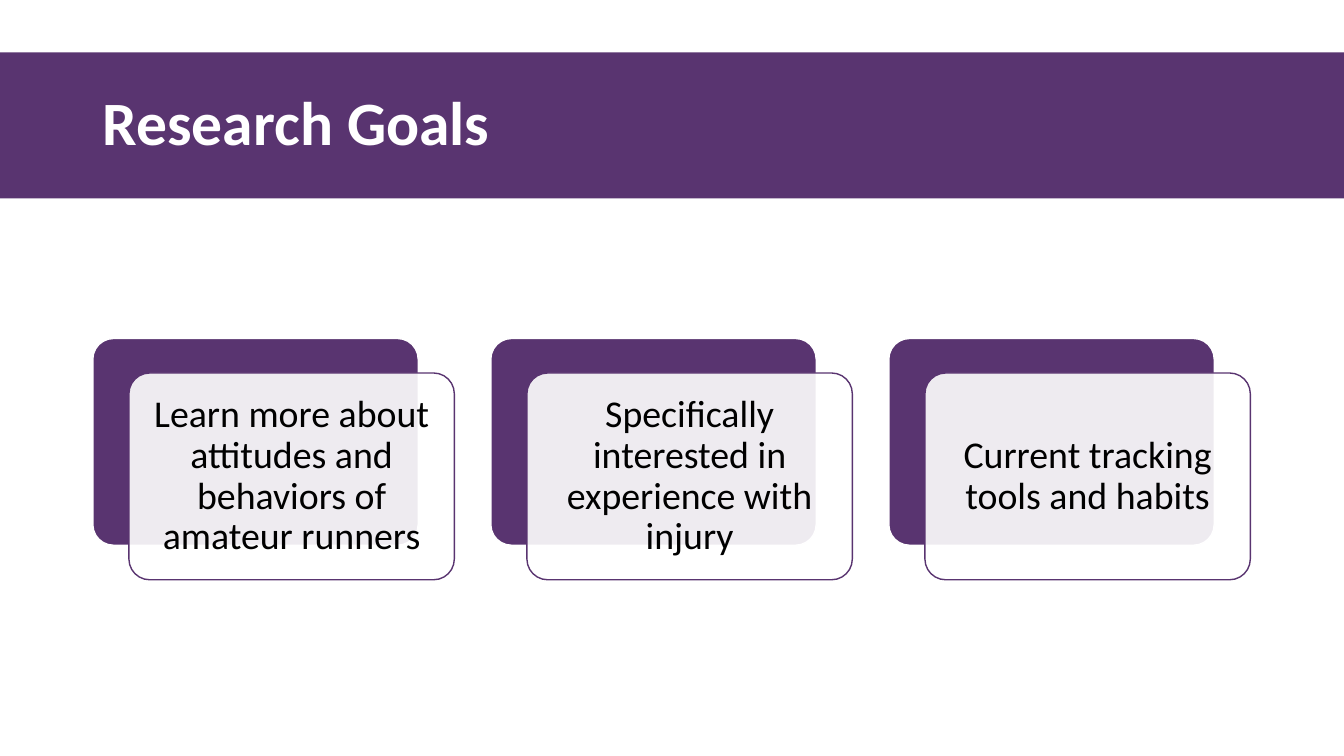
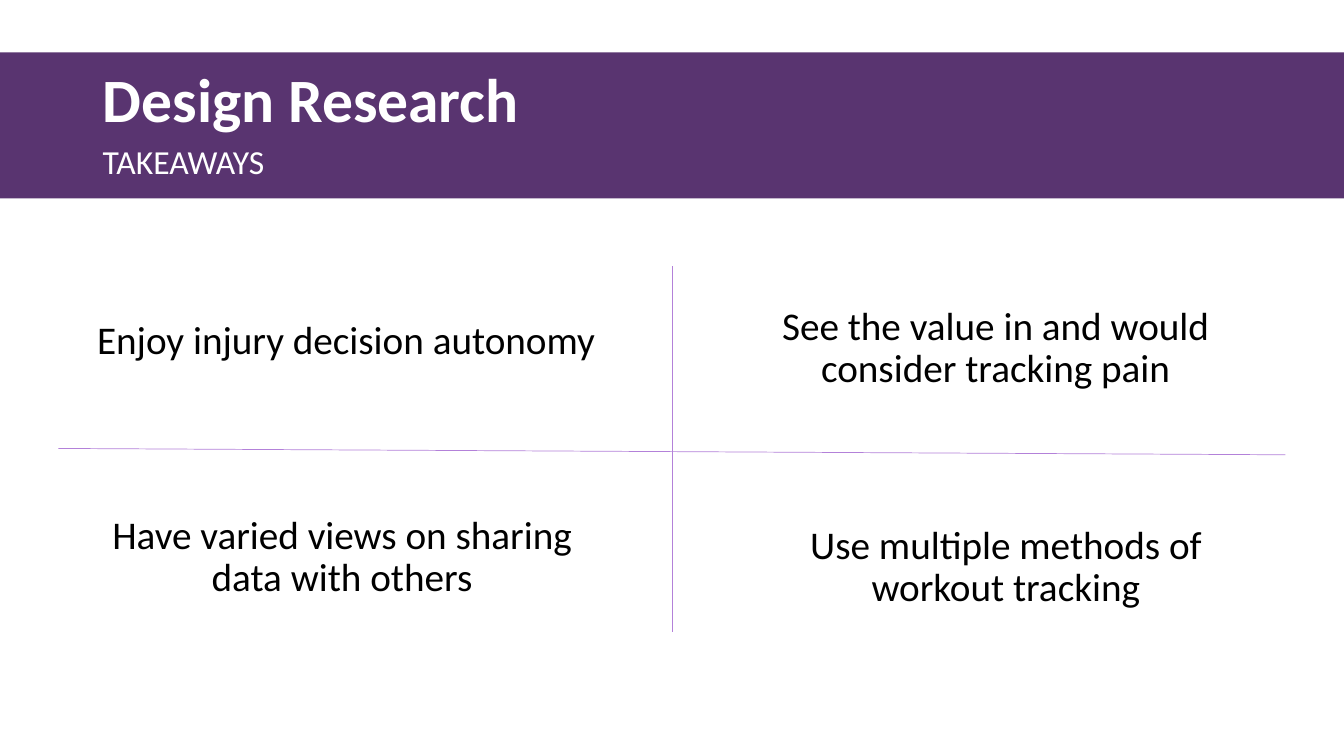
from lxml import etree
from pptx import Presentation
from pptx.dml.color import RGBColor
from pptx.enum.shapes import MSO_CONNECTOR, MSO_SHAPE
from pptx.enum.text import MSO_ANCHOR, PP_ALIGN
from pptx.oxml.ns import qn
from pptx.util import Cm, Pt

RECTANGLE, ROUNDED = MSO_SHAPE.RECTANGLE, MSO_SHAPE.ROUNDED_RECTANGLE
STRAIGHT = MSO_CONNECTOR.STRAIGHT
LEFT, CENTER = PP_ALIGN.LEFT, PP_ALIGN.CENTER
MIDDLE = MSO_ANCHOR.MIDDLE

FONT = "Calibri"
COLORS = {"purple": "593470", "lilac": "B381D9", "white": "FFFFFF", "black": "000000"}

# All positions and sizes are in centimetres.
SLIDE_WIDTH, SLIDE_HEIGHT = 33.87, 19.05
BAND_TOP, BAND_HEIGHT = 1.32, 3.68
TITLE_LEFT, TITLE_WIDTH = 2.34, 29.21
TITLE_RAISE, SUBTITLE_DROP = 0.58, 0.97

GOALS = [
    "Learn more about attitudes and behaviors of amateur runners",
    "Specifically interested in experience with injury",
    "Current tracking tools and habits",
]
CARD_LEFT, CARD_TOP, CARD_PITCH = 2.34, 8.53, 10.03
CARD_WIDTH, CARD_HEIGHT = 8.2, 5.21
CARD_SHIFT_X, CARD_SHIFT_Y = 0.91, 0.87
CARD_INSET = 0.28

# text, (left, top, width, height)
TAKEAWAYS = [
    ("Enjoy injury decision autonomy", (1.85, 5.94, 13.74, 5.33)),
    ("See the value in and would consider tracking pain", (17.7, 6.27, 14.78, 5.03)),
    ("Have varied views on sharing data with others", (1.85, 12.37, 13.54, 3.38)),
    ("Use multiple methods of workout tracking", (19, 12.37, 12.7, 3.89)),
]
# start x, start y, end x, end y
DIVIDERS = [(1.47, 11.3, 32.39, 11.46), (16.94, 6.71, 16.94, 15.93)]


def color(name):
    return RGBColor.from_string(COLORS[name])


def cm(values):
    return [Cm(value) for value in values]


def write(shape, text, size, ink="black", bold=False, align=CENTER, inset=None):
    frame = shape.text_frame
    frame.word_wrap = True
    frame.vertical_anchor = MIDDLE
    if inset is not None:
        frame.margin_left = frame.margin_right = Cm(inset)
        frame.margin_top = frame.margin_bottom = Cm(inset)
    para = frame.paragraphs[0]
    para.alignment = align
    para.line_spacing = 0.9
    span = para.add_run()
    span.text = text
    span.font.name = FONT
    span.font.size = Pt(size)
    span.font.bold = bold
    span.font.color.rgb = color(ink)


def add_text(page, text, place, size, **style):
    write(page.shapes.add_textbox(*cm(place)), text, size, **style)


def add_box(page, kind, place, fill, line=None, opacity=None):
    box = page.shapes.add_shape(kind, *cm(place))
    box.shadow.inherit = False
    box.fill.solid()
    box.fill.fore_color.rgb = color(fill)
    if opacity is not None:
        fill_color = box.fill._xPr.find(".//" + qn("a:srgbClr"))
        etree.SubElement(fill_color, qn("a:alpha"), val=str(opacity * 1000))
    if line:
        box.line.color.rgb = color(line)
        box.line.width = Pt(1)
    else:
        box.line.fill.background()
    if kind == ROUNDED:
        box.adjustments[0] = 0.1
    return box


def add_divider(page, ends):
    divider = page.shapes.add_connector(STRAIGHT, *cm(ends))
    divider.line.color.rgb = color("lilac")
    divider.line.width = Pt(0.5)
    etree.SubElement(divider._element.spPr, qn("a:effectLst"))


def add_page(deck, title, subtitle=None):
    """Add a blank slide with the title band; a subtitle pushes the title up."""
    page = deck.slides.add_slide(deck.slide_layouts[6])
    add_box(page, RECTANGLE, (0, BAND_TOP, SLIDE_WIDTH, BAND_HEIGHT), "purple")
    lines = [(title, 44, True, -TITLE_RAISE if subtitle else 0)]
    if subtitle:
        lines.append((subtitle, 24, False, SUBTITLE_DROP))
    for text, size, bold, shift in lines:
        place = (TITLE_LEFT, BAND_TOP + shift, TITLE_WIDTH, BAND_HEIGHT)
        add_text(page, text, place, size, ink="white", bold=bold, align=LEFT)
    return page


def add_goals(deck):
    page = add_page(deck, "Research Goals")
    for index, goal in enumerate(GOALS):
        left = CARD_LEFT + index * CARD_PITCH
        add_box(page, ROUNDED, (left, CARD_TOP, CARD_WIDTH, CARD_HEIGHT),
                "purple", line="white")
        front = (left + CARD_SHIFT_X, CARD_TOP + CARD_SHIFT_Y, CARD_WIDTH, CARD_HEIGHT)
        card = add_box(page, ROUNDED, front, "white", line="purple", opacity=90)
        write(card, goal, 27, inset=CARD_INSET)


def add_takeaways(deck):
    page = add_page(deck, "Design Research", "TAKEAWAYS")
    for text, place in TAKEAWAYS:
        add_text(page, text, place, 28)
    for ends in DIVIDERS:
        add_divider(page, ends)


def main():
    deck = Presentation()
    deck.slide_width, deck.slide_height = cm((SLIDE_WIDTH, SLIDE_HEIGHT))
    add_goals(deck)
    add_takeaways(deck)
    deck.save("out.pptx")


if __name__ == "__main__":
    main()
